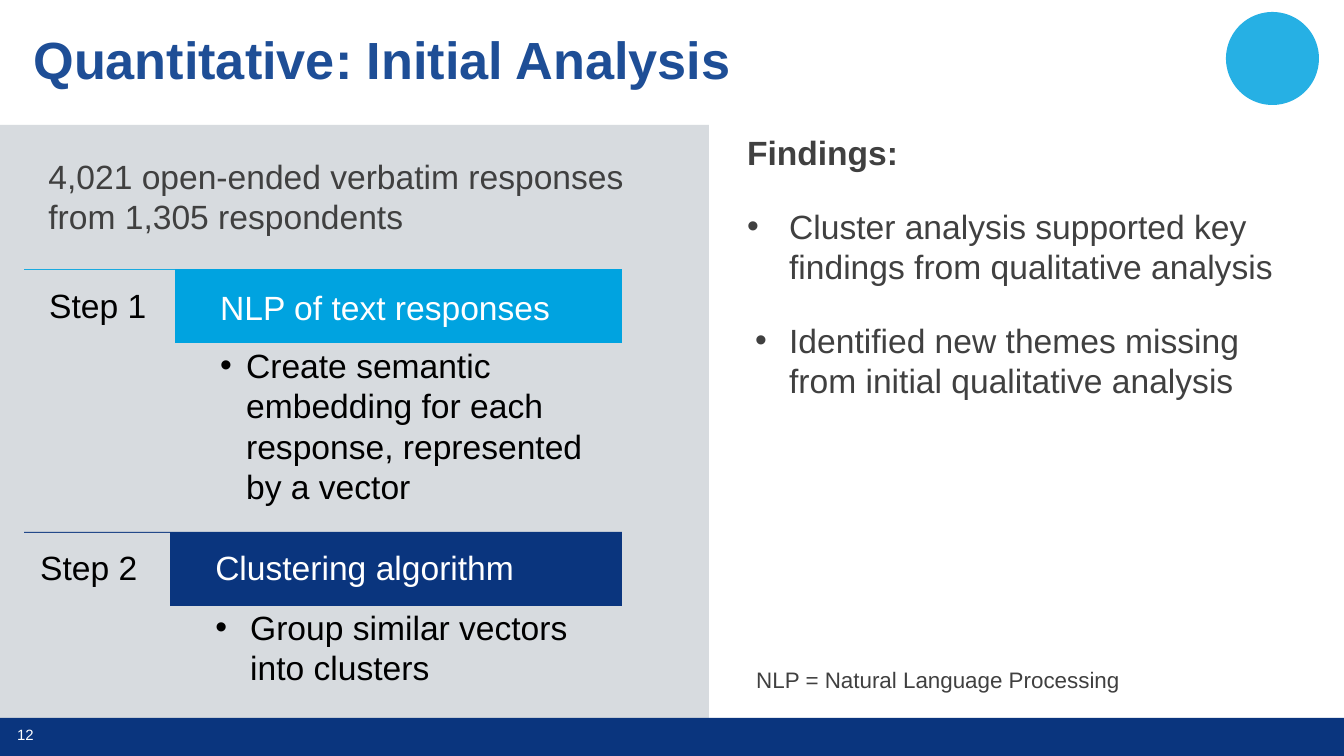
from pptx import Presentation
from pptx.dml.color import RGBColor
from pptx.enum.shapes import MSO_SHAPE as Shape
from pptx.enum.text import MSO_ANCHOR as Anchor, MSO_AUTO_SIZE as AutoSize, PP_ALIGN as Align
from pptx.oxml.ns import qn
from pptx.util import Emu, Pt
from lxml.etree import SubElement

PX = 914400 / 134.4
NAVY, SKY, GRAY = "0A357E", "00A3E0", "D7DBDF"
WHITE, BLACK, TEXT, HEADING = "FFFFFF", "000000", "404040", "1E4E96"

TITLE = "Quantitative: Initial Analysis"
INTRO = "4,021 open-ended verbatim responses from 1,305 respondents"
STEPS = [
    dict(label="Step 1", label_at=(36, 278), name="NLP of text responses",
         detail="Create semantic embedding for each response, represented by a vector",
         top=269, color=SKY, label_width=153, text_at=(207, 280, 414, 235),
         hang=26, gap=9.6),
    dict(label="Step 2", label_at=(27, 540), name="Clustering algorithm",
         detail="Group similar vectors into clusters",
         top=532, color=NAVY, label_width=148, text_at=(202, 540, 433, 160),
         hang=35, gap=10.8),
]
FINDINGS = [
    dict(text="Findings:", bold=True, margin=67, indent=-42, after=18),
    dict(text="Cluster analysis supported key findings from qualitative analysis",
         bullet=True, margin=67, indent=-42, after=18),
    dict(text="Identified new themes missing from initial qualitative analysis",
         bullet=True, margin=67, indent=-34),
]
NOTE = "NLP = Natural Language Processing"
PAGE_NUMBER = "12"


def px(value):
    return Emu(round(value * PX))


def rgb(value):
    return RGBColor.from_string(value)


def place(shape, left, top, width, height):
    shape.left, shape.top = px(left), px(top)
    shape.width, shape.height = px(width), px(height)


def add_block(page, kind, at, color):
    block = page.shapes.add_shape(kind, *map(px, at))
    block.shadow.inherit = False
    block.fill.solid()
    block.fill.fore_color.rgb = rgb(color)
    block.line.fill.background()
    return block


def add_para(frame, first, text, size=18, color=TEXT, bold=False, bullet=False,
             margin=0, indent=0, before=0, after=0, align=Align.LEFT):
    para = frame.paragraphs[0] if first else frame.add_paragraph()
    props = para._p.get_or_add_pPr()
    props.set("marL", str(px(margin)))
    props.set("indent", str(px(indent)))
    if bullet:
        SubElement(props, qn("a:buFont")).set("typeface", "Arial")
        SubElement(props, qn("a:buChar")).set("char", "•")
    else:
        SubElement(props, qn("a:buNone"))
    para.alignment = align
    para.space_before, para.space_after = Pt(before), Pt(after)
    span = para.add_run()
    span.text = text
    span.font.name, span.font.size, span.font.bold = "Arial", Pt(size), bold
    span.font.color.rgb = rgb(color)
    return para


def write(shape, paras, anchor=Anchor.TOP):
    frame = shape.text_frame
    frame.word_wrap = True
    frame.auto_size = AutoSize.NONE
    frame.vertical_anchor = anchor
    for number, para in enumerate(paras):
        add_para(frame, number == 0, **para)
    return frame


def add_text(page, at, paras, anchor=Anchor.TOP):
    return write(page.shapes.add_textbox(*map(px, at)), paras, anchor)


def add_step(page, step):
    top = step["top"]
    add_block(page, Shape.RECTANGLE, (24, top, 598, 74), step["color"])
    add_block(page, Shape.RECTANGLE, (22, top + 1, step["label_width"], 73), GRAY)
    add_text(page, (*step["label_at"], 156, 54), [dict(text=step["label"], color=BLACK)])
    add_text(page, step["text_at"], [
        dict(text=step["name"], color=WHITE),
        dict(text=step["detail"], color=BLACK, bullet=True, margin=step["hang"],
             indent=-step["hang"], before=step["gap"]),
    ])


def main():
    deck = Presentation()
    deck.slide_width, deck.slide_height = px(1344), px(756)
    page = deck.slides.add_slide(deck.slide_layouts[1])

    title, panel = page.shapes.title, page.placeholders[1]
    place(title, 20, 20, 1300, 85)
    frame = write(title, [dict(text=TITLE, size=28, color=HEADING, bold=True)], Anchor.MIDDLE)
    frame.paragraphs[0].line_spacing = 0.9

    place(panel, 0, 125, 709, 594)
    panel.fill.solid()
    panel.fill.fore_color.rgb = rgb(GRAY)
    frame = write(panel, [dict(text=INTRO, margin=35)])
    frame.margin_top = px(31)

    add_block(page, Shape.RECTANGLE, (0, 718, 1344, 38), NAVY)
    add_text(page, (0, 719, 51, 32),
             [dict(text=PAGE_NUMBER, size=8, color=WHITE, align=Align.CENTER)], Anchor.MIDDLE)
    circle = add_block(page, Shape.OVAL, (1226, 12, 93, 93), SKY)
    tint = circle._element.spPr.find(qn("a:solidFill"))[0]
    SubElement(tint, qn("a:alpha")).set("val", "85000")

    for step in STEPS:
        add_step(page, step)
    add_text(page, (709, 125, 607, 300), FINDINGS)
    add_text(page, (743, 660, 573, 42), [dict(text=NOTE, size=12)])
    deck.save("out.pptx")


if __name__ == "__main__":
    main()
